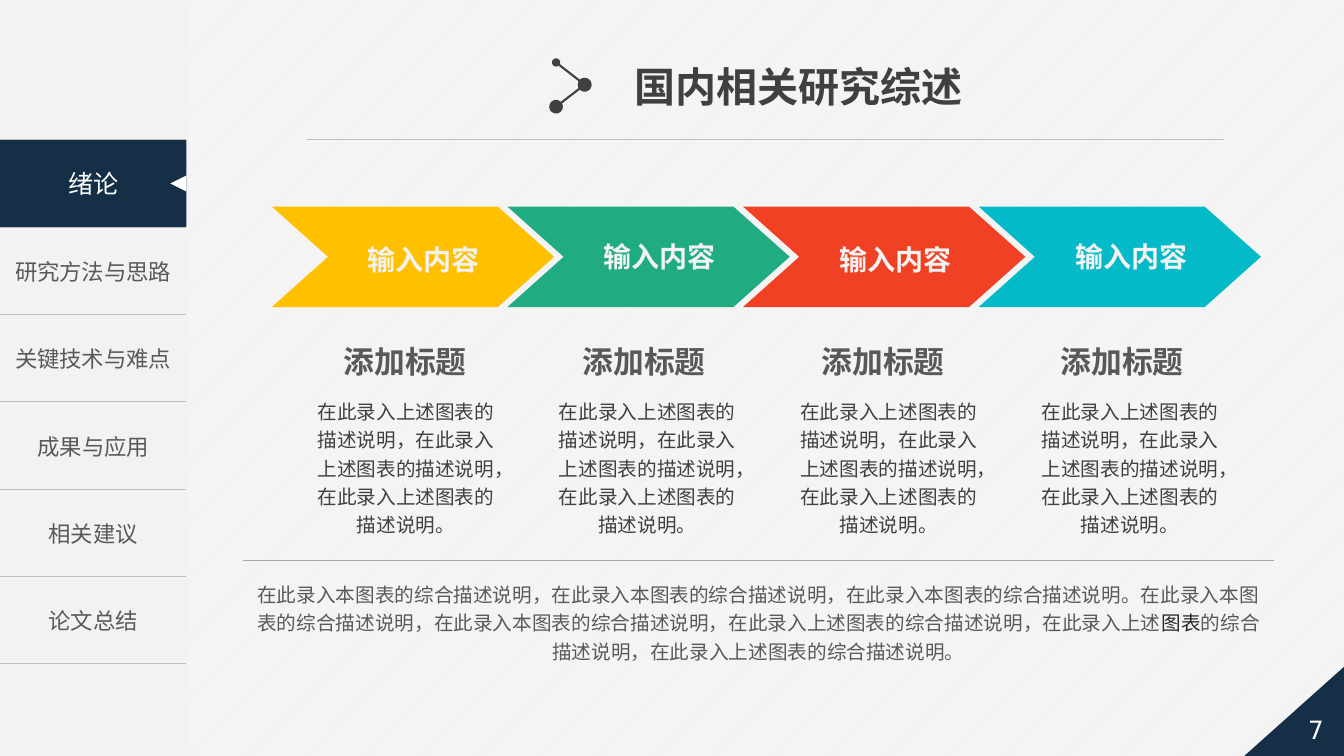
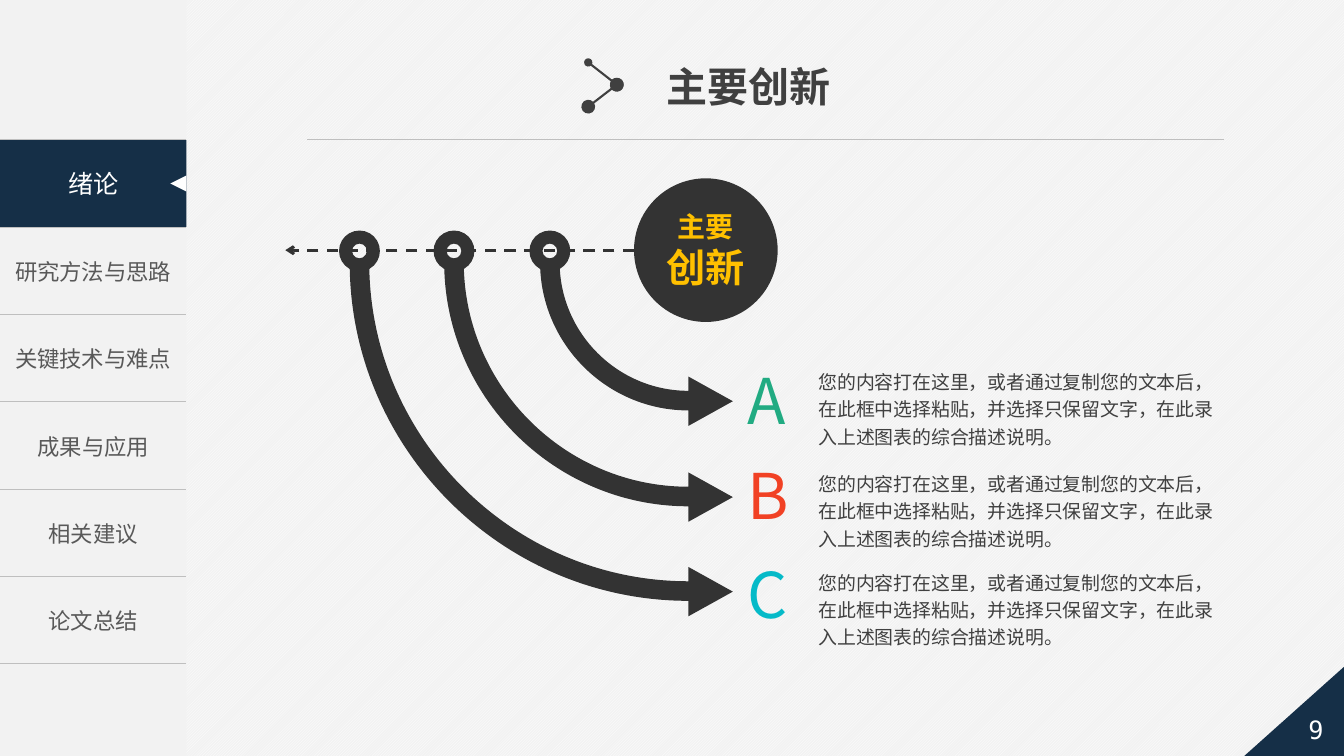
from dataclasses import dataclass
from typing import Optional

from lxml import etree
from pptx import Presentation
from pptx import util as u
from pptx.dml.color import RGBColor
from pptx.enum import dml, shapes, text
from pptx.oxml import ns

Pt = u.Pt
KIND = shapes.MSO_SHAPE
ALIGN = text.PP_ALIGN
ANCHOR = text.MSO_ANCHOR


@dataclass(frozen=True)
class Theme:
    paper: str = "F2F2F2"
    white: str = "FFFFFF"
    navy: str = "152F47"
    rule: str = "BFBFBF"
    dark_rule: str = "A6A6A6"
    ink: str = "404040"
    grey: str = "595959"
    strong: str = "262626"
    charcoal: str = "333333"
    yellow: str = "FFC000"
    green: str = "21AB82"
    red: str = "F14124"
    cyan: str = "05BAC8"
    cjk: str = "Noto Sans CJK SC"
    latin: str = "Arial"
    mono: str = "DejaVu Sans Mono"
    title_size: float = 29.3
    head_size: float = 22
    label_size: float = 20
    tab_size: float = 18
    menu_size: float = 16
    body_size: float = 14
    note_size: float = 13.5
    letter_size: float = 45
    core_size: float = 28


T = Theme()


@dataclass(frozen=True)
class Style:
    size: float
    color: str
    font: str = T.cjk
    bold: bool = False
    align: ALIGN = ALIGN.CENTER
    leading: Optional[float] = None


@dataclass(frozen=True)
class Box:
    left: float
    top: float
    width: float
    height: float

    def lengths(self) -> tuple:
        return Pt(self.left), Pt(self.top), Pt(self.width), Pt(self.height)


@dataclass(frozen=True)
class Step:
    label: str
    heading: str
    color: str
    label_drop: float


@dataclass(frozen=True)
class Innovation:
    letter: str
    color: str
    radius: float
    letter_top: float
    note_top: float


MENU = ["", "研究方法与思路", "关键技术与难点", "成果与应用", "相关建议", "论文总结"]
ACTIVE_TAB = "绪论"
MENU_TOP, MENU_WIDTH, MENU_ROW = 99.8, 133.2, 62.4

STEPS = [Step("输入内容", "添加标题", color, drop) for color, drop in
         ((T.yellow, 2), (T.green, 0), (T.red, 2), (T.cyan, 0))]
STEP_TEXT = "在此录入上述图表的描述说明，" * 2 + "在此录入上述图表的描述说明。"
SUMMARY = [
    ("在此录入本图表的综合描述说明，" * 2 + "在此录入本图表的综合描述说明。"
     + "在此录入本图表的综合描述说明，" * 2
     + "在此录入上述图表的综合描述说明，在此录入上述", T.grey),
    ("图表", T.strong),
    ("的综合描述说明，在此录入上述图表的综合描述说明。", T.grey),
]
INNOVATIONS = [
    Innovation("A", T.green, 99, 254.9, 258.5),
    Innovation("B", T.red, 167.5, 322.9, 331.2),
    Innovation("C", T.cyan, 235, 393.6, 401.8),
]
NOTE = ("您的内容打在这里，或者通过复制您的文本后，在此框中选择粘贴，"
        "并选择只保留文字，在此录入上述图表的综合描述说明。")


# ---- Helpers ----
def rgb(color: str) -> RGBColor:
    return RGBColor.from_string(color)


def style_paragraph(paragraph, style: Style) -> None:
    paragraph.alignment = style.align
    if style.leading:
        paragraph.line_spacing = Pt(style.leading)
    for run in paragraph.runs:
        run.font.size = Pt(style.size)
        run.font.name = style.font
        run.font.bold = style.bold
        run.font.color.rgb = rgb(style.color)
        props = run.font._element
        props.set("lang", "zh-CN")
        east_asian = etree.Element(ns.qn("a:ea"), typeface=T.cjk)
        props.find(ns.qn("a:latin")).addnext(east_asian)


def set_frame(frame, anchor: ANCHOR, inset_x: float, inset_y: float) -> None:
    frame.word_wrap = True
    frame.auto_size = text.MSO_AUTO_SIZE.NONE
    frame.vertical_anchor = anchor
    frame.margin_left = frame.margin_right = Pt(inset_x)
    frame.margin_top = frame.margin_bottom = Pt(inset_y)


def add_text(slide, box: Box, words: str, style: Style, anchor: ANCHOR = ANCHOR.MIDDLE,
             inset_x: float = 7.2, inset_y: float = 3.6):
    frame = slide.shapes.add_textbox(*box.lengths()).text_frame
    set_frame(frame, anchor, inset_x, inset_y)
    frame.text = words
    style_paragraph(frame.paragraphs[0], style)
    return frame


def paint(shape, color: str):
    shape.shadow.inherit = False
    shape.fill.solid()
    shape.fill.fore_color.rgb = rgb(color)
    shape.line.fill.background()
    return shape


def add_block(slide, kind: KIND, box: Box, color: str):
    return paint(slide.shapes.add_shape(kind, *box.lengths()), color)


def add_line(slide, start: tuple, end: tuple, color: str, width: float, dashed: bool = False,
             head: Optional[dict] = None, tail: Optional[dict] = None) -> None:
    line = slide.shapes.add_connector(shapes.MSO_CONNECTOR.STRAIGHT, *map(Pt, start + end))
    line.line.color.rgb = rgb(color)
    line.line.width = Pt(width)
    if dashed:
        line.line.dash_style = dml.MSO_LINE.DASH
    props = line._element.spPr
    outline = props.find(ns.qn("a:ln"))
    for tag, ending in (("a:headEnd", head), ("a:tailEnd", tail)):
        if ending:
            etree.SubElement(outline, ns.qn(tag), ending)
    etree.SubElement(props, ns.qn("a:effectLst"))


# ---- Parts shared by the slides, kept on their layout ----
def set_cell_borders(cell) -> None:
    props = cell._tc.get_or_add_tcPr()
    for place, side in enumerate(("L", "R", "T", "B")):
        border = etree.Element(ns.qn(f"a:ln{side}"), w=str(Pt(1)))
        if side in "TB":
            fill = etree.SubElement(border, ns.qn("a:solidFill"))
            etree.SubElement(fill, ns.qn("a:srgbClr"), val=T.rule)
        else:
            etree.SubElement(border, ns.qn("a:noFill"))
        props.insert(place, border)


def add_menu(slide) -> None:
    add_block(slide, KIND.RECTANGLE, Box(0, 0, MENU_WIDTH, 540), T.paper)
    menu_box = Box(0, MENU_TOP, MENU_WIDTH, MENU_ROW * len(MENU))
    menu = slide.shapes.add_table(len(MENU), 1, *menu_box.lengths()).table
    menu.first_row = menu.horz_banding = False
    for row, entry in enumerate(MENU):
        menu.rows[row].height = Pt(MENU_ROW)
        cell = menu.cell(row, 0)
        cell.fill.background()
        cell.vertical_anchor = ANCHOR.MIDDLE
        set_cell_borders(cell)
        cell.text_frame.text = entry
        style_paragraph(cell.text_frame.paragraphs[0], Style(T.menu_size, T.grey))

    tab = add_block(slide, KIND.RECTANGLE, Box(0, 100, MENU_WIDTH, 62), T.navy)
    set_frame(tab.text_frame, ANCHOR.MIDDLE, 7.2, 3.6)
    tab.text_frame.text = ACTIVE_TAB
    style_paragraph(tab.text_frame.paragraphs[0], Style(T.tab_size, T.white))
    pointer = add_block(slide, KIND.ISOSCELES_TRIANGLE, Box(121.7, 125.3, 11.5, 11.5), T.white)
    pointer.rotation = 270


def furnish_layout(layout, slide) -> None:
    """Draw the shared parts and hand them from the slide to its layout."""
    add_menu(slide)
    add_line(slide, (219.6, 99.6), (874, 99.6), T.rule, 0.5)
    corner = add_block(slide, KIND.RIGHT_TRIANGLE, Box(888, 474, 74.6, 66.7), T.navy)
    corner._element.spPr.find(ns.qn("a:xfrm")).set("flipH", "1")
    shared = [shape for shape in slide.shapes if not shape.is_placeholder]
    for number, shape in enumerate(shared, start=20):
        next(shape._element.iter(ns.qn("p:cNvPr"))).set("id", str(number))
        layout.shapes._spTree.append(shape._element)


def add_title(slide, title: str, left: float) -> None:
    heading = slide.shapes.title
    box = Box(left, 40.3, len(title) * T.title_size + 18, 42.5)
    heading.left, heading.top, heading.width, heading.height = box.lengths()
    set_frame(heading.text_frame, ANCHOR.MIDDLE, 7.2, 3.6)
    heading.text_frame.text = title
    style_paragraph(heading.text_frame.paragraphs[0],
                    Style(T.title_size, T.ink, T.latin, True, ALIGN.LEFT))

    # Branch icon beside the title
    small_dot = {"type": "oval", "w": "med", "len": "med"}
    large_dot = {"type": "oval", "w": "lg", "len": "lg"}
    fork = (left - 28.4, 60.5)
    add_line(slide, (left - 48.8, 44.6), fork, T.ink, 1.5, head=small_dot, tail=large_dot)
    add_line(slide, fork, (left - 48.8, 76.2), T.ink, 1.5, head=large_dot, tail=large_dot)


def dress_slide(slide, title: str, title_left: float, number: int) -> None:
    add_title(slide, title, title_left)
    add_text(slide, Box(920, 501.5, 40, 39), str(number), Style(T.tab_size, T.white, T.mono))


# ---- Slide: research review ----
def build_review(slide) -> None:
    dress_slide(slide, "国内相关研究综述", 446, 7)
    body = Style(T.body_size, T.ink, leading=20.2)
    for i, step in enumerate(STEPS):
        chevron = add_block(slide, KIND.CHEVRON, Box(194.2 + 168.3 * i, 147.6, 201.6, 71.7),
                            step.color)
        chevron.adjustments[0] = 0.56
        add_text(slide, Box(217 + 168.6 * i, 167.5 + step.label_drop, 171, 31.7), step.label,
                 Style(T.label_size, T.paper, T.latin, True))
        add_text(slide, Box(229.4 + 170.7 * i, 241.2, 120, 33.8), step.heading,
                 Style(T.head_size, T.grey, bold=True))
        add_text(slide, Box(216 + 172.4 * i, 278.8, 148, 108.7), STEP_TEXT, body, ANCHOR.TOP)

    add_line(slide, (173.5, 400.3), (910, 400.3), T.dark_rule, 0.5)
    summary = add_text(slide, Box(172.5, 409.5, 738.7, 68.4), "", body, ANCHOR.TOP).paragraphs[0]
    for words, _ in SUMMARY:
        summary.add_run().text = words
    style_paragraph(summary, body)
    for run, (_, color) in zip(summary.runs, SUMMARY):
        run.font.color.rgb = rgb(color)


# ---- Slide: main innovations ----
def curve_lines(shape, starts: tuple) -> None:
    """Turn three straight segments from each start into one Bezier curve."""
    lines = list(shape._element.iter(ns.qn("a:lnTo")))
    for start in starts:
        curve = etree.Element(ns.qn("a:cubicBezTo"))
        lines[start].addprevious(curve)
        for line in lines[start:start + 3]:
            curve.append(line[0])
            line.getparent().remove(line)


def add_curved_arrow(slide, pivot: tuple, radius: float) -> None:
    x, y = pivot
    half, head_half, head_length, bend = 7, 17.6, 31.7, 0.55

    def quarter(r: float) -> list:
        return [(x - r, y), (x - r, y + bend * r), (x - bend * r, y + r), (x, y + r)]

    tip_y = y + radius + 0.4
    head = [(x, tip_y + head_half), (x + head_length, tip_y), (x, tip_y - head_half)]
    outline = quarter(radius + half) + head + quarter(radius - half)[::-1]
    points = [(Pt(px), Pt(py)) for px, py in outline]
    builder = slide.shapes.build_freeform(*points[0])
    builder.add_line_segments(points[1:], close=True)
    arrow = paint(builder.convert_to_shape(), T.charcoal)
    curve_lines(arrow, (0, 7))


def build_innovations(slide) -> None:
    dress_slide(slide, "主要创新", 469, 9)
    core = add_block(slide, KIND.OVAL, Box(452.9, 127.4, 102.6, 102.6), T.charcoal)
    set_frame(core.text_frame, ANCHOR.MIDDLE, 5.8, 2.9)
    core.text_frame.text = "主要\n创新"
    for line, size in zip(core.text_frame.paragraphs, (T.label_size, T.core_size)):
        style_paragraph(line, Style(size, T.yellow, bold=True, leading=size * 1.2))
    add_line(slide, (452.9, 178.7), (203.8, 178.7), T.charcoal, 0, dashed=True,
             tail={"type": "arrow"})

    pivot, ring = (491.8, 187.2), 29.2
    for item in INNOVATIONS:
        ring_box = Box(pivot[0] - item.radius - ring / 2, 179.3 - ring / 2, ring, ring)
        add_block(slide, KIND.DONUT, ring_box, T.charcoal).adjustments[0] = 0.32
        add_curved_arrow(slide, pivot, item.radius)
        add_text(slide, Box(528.5, item.letter_top, 44, 60.5), item.letter,
                 Style(T.letter_size, item.color, align=ALIGN.LEFT), inset_x=5.8, inset_y=2.9)
        add_text(slide, Box(578.9, item.note_top, 305.3, 63.4), NOTE,
                 Style(T.note_size, T.ink, align=ALIGN.LEFT, leading=19.55),
                 ANCHOR.TOP, 5.8, 2.9)


def main() -> None:
    deck = Presentation()
    deck.slide_width, deck.slide_height = Pt(960), Pt(540)
    backdrop = deck.slide_master.background.fill
    backdrop.patterned()
    backdrop.pattern = dml.MSO_PATTERN.LIGHT_UPWARD_DIAGONAL
    backdrop.fore_color.rgb = rgb(T.white)
    backdrop.back_color.rgb = rgb(T.paper)
    layout = deck.slide_layouts[5]
    review, innovations = (deck.slides.add_slide(layout) for _ in range(2))
    furnish_layout(layout, review)
    build_review(review)
    build_innovations(innovations)
    deck.save("out.pptx")


if __name__ == "__main__":
    main()
